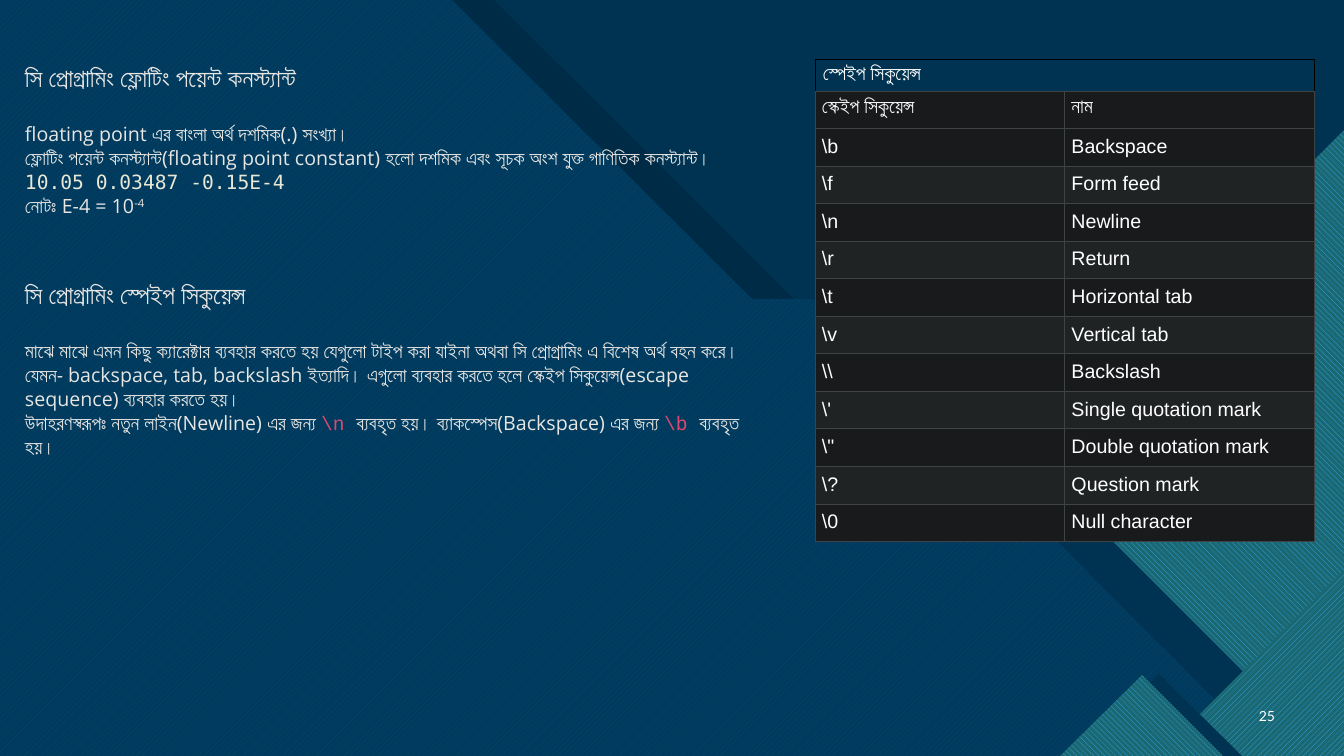
from lxml import etree
from pptx import Presentation
from pptx.dml.color import RGBColor
from pptx.enum.dml import MSO_PATTERN
from pptx.enum.text import MSO_ANCHOR, PP_ALIGN
from pptx.oxml.ns import qn
from pptx.util import Pt

EMU_PER_PX = 914400 / 100.8
NAVY, SHADOW = "003352", "002B46"
PALE, PINK = "E8E6E3", "DD496E"
rgb = RGBColor.from_string


def px(length):
    return round(length * EMU_PER_PX)


def set_borders(cell, colour):
    """Draw thin lines on all four sides of a table cell."""
    properties = cell._tc.get_or_add_tcPr()
    for side in ("lnL", "lnR", "lnT", "lnB"):
        line = etree.SubElement(properties, qn(f"a:{side}"), w="9525")
        fill = etree.SubElement(line, qn("a:solidFill"))
        etree.SubElement(fill, qn("a:srgbClr"), val=colour)


deck = Presentation()
deck.slide_width, deck.slide_height = px(1344), px(756)
slide = deck.slides.add_slide(deck.slide_layouts[6])
slide.background.fill.solid()
slide.background.fill.fore_color.rgb = rgb(NAVY)

# Backdrop, from back to front: outline, pattern, front colour, back colour
WIDE_UP, WIDE_DOWN = MSO_PATTERN.WIDE_UPWARD_DIAGONAL, MSO_PATTERN.WIDE_DOWNWARD_DIAGONAL
backdrop = [
    ([(0, 0), (494, 0), (794, 299), (921, 299), (1344, 723), (1344, 756), (0, 756)],
     None, SHADOW, None),
    ([(0, 0), (452, 0), (752, 299), (879, 299), (1336, 756), (0, 756)],
     WIDE_UP, "0B4965", "003A5E"),
    ([(1344, 156), (1344, 714), (1230, 714), (1008, 492)], None, NAVY, None),
    ([(1344, 130), (1344, 743), (1315, 743), (1023, 451)], WIDE_DOWN, "2FAFFF", "1B6872"),
    ([(1344, 570), (1344, 756), (1158, 756)], WIDE_UP, "2FAFFF", "1B6872"),
    ([(1242, 756), (1159, 674), (1077, 756)], None, NAVY, None),
    ([(1060, 756), (1142, 675), (1223, 756)], WIDE_DOWN, "2FAFFF", "1B6872"),
]
for points, pattern, front, back in backdrop:
    builder = slide.shapes.build_freeform(*points[0], scale=EMU_PER_PX)
    builder.add_line_segments(points[1:])
    shape = builder.convert_to_shape()
    shape.shadow.inherit = False
    shape.line.fill.background()
    if pattern:
        shape.fill.patterned()
        shape.fill.pattern = pattern
        shape.fill.back_color.rgb = rgb(back)
    else:
        shape.fill.solid()
    shape.fill.fore_color.rgb = rgb(front)

# Page number
box = slide.shapes.add_textbox(px(1241), px(696), px(44), px(40))
box.text_frame.word_wrap = True
box.text_frame.vertical_anchor = MSO_ANCHOR.MIDDLE
para = box.text_frame.paragraphs[0]
para.text = "25"
para.alignment = PP_ALIGN.RIGHT
para.font.name, para.font.size = "Lato", Pt(10)
para.font.color.rgb = rgb("FFFFFF")

# Escape sequence table
rows = [
    ("স্পেইপ সিকুয়েন্স", ""),
    ("স্কেইপ সিকুয়েন্স", "নাম"),
    (r"\b", "Backspace"),
    (r"\f", "Form feed"),
    (r"\n", "Newline"),
    (r"\r", "Return"),
    (r"\t", "Horizontal tab"),
    (r"\v", "Vertical tab"),
    (r"\\", "Backslash"),
    (r"\'", "Single quotation mark"),
    (r'\"', "Double quotation mark"),
    (r"\?", "Question mark"),
    (r"\0", "Null character"),
]
table = slide.shapes.add_table(len(rows), 2, px(815), px(59), px(499), px(480)).table
table.first_row = table.horz_banding = False
table.cell(0, 0).merge(table.cell(0, 1))
for row_index, texts in enumerate(rows):
    is_header = row_index == 0
    table.rows[row_index].height = px(32) if is_header else px(448) // 12
    for column_index, text in enumerate(texts):
        cell = table.cell(row_index, column_index)
        set_borders(cell, "000000" if is_header else "3E4446")
        if is_header:
            cell.fill.background()
            cell.vertical_anchor = MSO_ANCHOR.MIDDLE
        else:
            cell.fill.solid()
            cell.fill.fore_color.rgb = rgb("202324" if row_index > 1 and row_index % 2 else "181A1B")
        cell.margin_left = cell.margin_right = px(8 if is_header else 7)
        cell.margin_top = cell.margin_bottom = px(4 if is_header else 7)
        if text:
            para = cell.text_frame.paragraphs[0]
            para.text = text
            para.font.name, para.font.size = "Arial", Pt(14)
            para.font.color.rgb = rgb("FFFFFF")

# Explanation: each paragraph is a heading flag and its spans (text, font, colour)
SANS, MONO, CODE = ("Open Sans", PALE), ("DejaVu Sans Mono", "E8E8D5"), ("Courier New", PINK)
paragraphs = [
    (True, [("সি প্রোগ্রামিং ফ্লোটিং পয়েন্ট কনস্ট্যান্ট", SANS)]),
    (False, [("floating point এর বাংলা অর্থ দশমিক(.) সংখ্যা।", SANS)]),
    (False, [("ফ্লোটিং পয়েন্ট কনস্ট্যান্ট(floating point constant) হলো দশমিক এবং সূচক অংশ যুক্ত "
              "গাণিতিক কনস্ট্যান্ট।", SANS)]),
    (False, [("10.05 0.03487 -0.15E-4", MONO)]),
    (False, [("নোটঃ ", SANS), ("E-4 = 10", SANS), ("-4", SANS)]),
    (True, [("সি প্রোগ্রামিং স্পেইপ সিকুয়েন্স", SANS)]),
    (False, [("মাঝে মাঝে এমন কিছু ক্যারেক্টার ব্যবহার করতে হয় যেগুলো টাইপ করা যাইনা অথবা "
              "সি প্রোগ্রামিং এ বিশেষ অর্থ বহন করে। যেমন- backspace, tab, backslash ইত্যাদি। "
              "এগুলো ব্যবহার করতে হলে স্কেইপ সিকুয়েন্স(escape sequence) ব্যবহার করতে হয়।", SANS)]),
    (False, [("উদাহরণস্বরূপঃ নতুন লাইন(Newline) এর জন্য ", SANS), (r"\n ", CODE),
             ("ব্যবহৃত হয়। ব্যাকস্পেস(Backspace) এর জন্য ", SANS), (r"\b ", CODE),
             ("ব্যবহৃত হয়।", SANS)]),
]
box = slide.shapes.add_textbox(px(25), px(40), px(734), px(440))
frame = box.text_frame
frame.word_wrap = True
frame.vertical_anchor = MSO_ANCHOR.MIDDLE
frame.margin_left = frame.margin_right = 0
frame.margin_top = frame.margin_bottom = px(10)
for index, (is_heading, spans) in enumerate(paragraphs):
    para = frame.add_paragraph() if index else frame.paragraphs[0]
    para.font.size = Pt(18 if is_heading else 14)
    para.line_spacing = Pt(22 if is_heading else 17)
    if is_heading:
        para.space_before = Pt(44 if index else 0)
        para.space_after = Pt(21)
    for text, (font_name, colour) in spans:
        span = para.add_run()
        span.text = text
        span.font.name = font_name
        span.font.color.rgb = rgb(colour)
        if text.startswith("নোটঃ"):
            span.font.bold = True
        if text == "-4":
            span._r.get_or_add_rPr().set("baseline", "30000")

deck.save("out.pptx")
